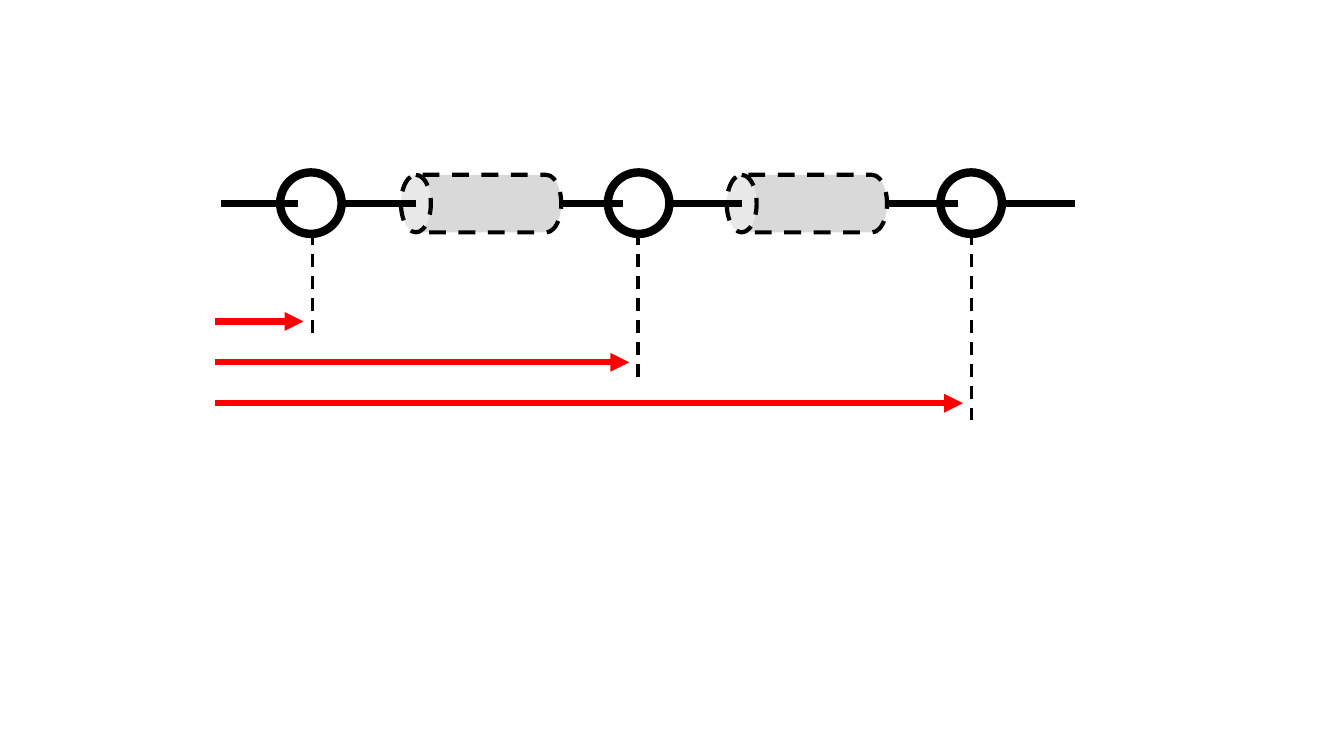
from lxml.etree import SubElement
from pptx import Presentation
from pptx.dml.color import RGBColor
from pptx.enum.dml import MSO_LINE
from pptx.enum.shapes import MSO_CONNECTOR, MSO_SHAPE
from pptx.oxml.ns import qn
from pptx.util import Cm, Pt

BLACK, WHITE, GREY, RED = "000000", "FFFFFF", "D9D9D9", "FF0000"

AXIS_Y = 5.13
CIRCLE_SIZE = 1.55
CIRCLE_LEFTS = (7.06, 15.32, 23.7)
CAN_WIDTH, CAN_HEIGHT = 1.45, 4.04
CAN_LEFTS = (11.4, 19.61)
AXIS_SEGMENTS = (
    (7.52, 5.56), (10.49, 8.56), (15.7, 14.15),
    (18.69, 16.76), (24.13, 22.35), (27.08, 25.3),
)
ARROW_START, ARROW_TOP, ARROW_STEP = 5.41, 8.1, 1.03
GUIDE_TOP, GUIDE_OVERHANG = 5.86, 0.43
GUIDE_XS = (7.87, 16.08, 24.49)
ARROW_GAP = 0.22

CIRCLE_LINE = {"width": Pt(6)}
CAN_LINE = {"width": Pt(3), "dash_style": MSO_LINE.DASH}
THICK_LINE = {"width": Pt(4.5)}
GUIDE_LINE = {"width": Pt(2.25), "dash_style": MSO_LINE.DASH}


def paint(format_with_color, color):
    format_with_color.fore_color.rgb = RGBColor.from_string(color)


def style_line(line, color, line_format):
    line.fill.solid()
    paint(line.fill, color)
    for name, value in line_format.items():
        setattr(line, name, value)


def add_outlined_shape(shapes, kind, left, top, width, height, fill, line_format):
    shape = shapes.add_shape(kind, Cm(left), Cm(top), Cm(width), Cm(height))
    shape.shadow.inherit = False
    shape.fill.solid()
    paint(shape.fill, fill)
    style_line(shape.line, BLACK, line_format)
    return shape


def add_line(shapes, start, end, color, line_format, arrow=False):
    connector = shapes.add_connector(
        MSO_CONNECTOR.STRAIGHT, *(Cm(value) for value in (*start, *end)))
    style_line(connector.line, color, line_format)
    properties = connector._element.spPr
    if arrow:
        SubElement(properties.find(qn("a:ln")), qn("a:tailEnd"), type="triangle")
    SubElement(properties, qn("a:effectLst"))


def add_chain(slide):
    """Circles and lying cans joined along the horizontal axis."""
    shapes = slide.shapes.add_group_shape().shapes
    for left in CIRCLE_LEFTS:
        add_outlined_shape(shapes, MSO_SHAPE.OVAL, left, AXIS_Y - CIRCLE_SIZE / 2 - 0.01,
                           CIRCLE_SIZE, CIRCLE_SIZE, WHITE, CIRCLE_LINE)
    for left in CAN_LEFTS:
        can = add_outlined_shape(shapes, MSO_SHAPE.CAN, left, AXIS_Y - CAN_HEIGHT / 2,
                                 CAN_WIDTH, CAN_HEIGHT, GREY, CAN_LINE)
        can.adjustments[0] = 0.52
        can.rotation = 270
    for start, end in AXIS_SEGMENTS:
        add_line(shapes, (start, AXIS_Y), (end, AXIS_Y), BLACK, THICK_LINE)


def add_distances(slide):
    """An arrow up to a dashed guide below each circle."""
    for index, guide_x in enumerate(GUIDE_XS):
        arrow_y = ARROW_TOP + index * ARROW_STEP
        add_line(slide.shapes, (ARROW_START, arrow_y), (guide_x - ARROW_GAP, arrow_y),
                 RED, THICK_LINE, arrow=True)
        add_line(slide.shapes, (guide_x, GUIDE_TOP), (guide_x, arrow_y + GUIDE_OVERHANG),
                 BLACK, GUIDE_LINE)


def main():
    presentation = Presentation()
    presentation.slide_width = Cm(33.87)
    presentation.slide_height = Cm(19.05)
    slide = presentation.slides.add_slide(presentation.slide_layouts[6])
    add_chain(slide)
    add_distances(slide)
    presentation.save("out.pptx")


if __name__ == "__main__":
    main()
